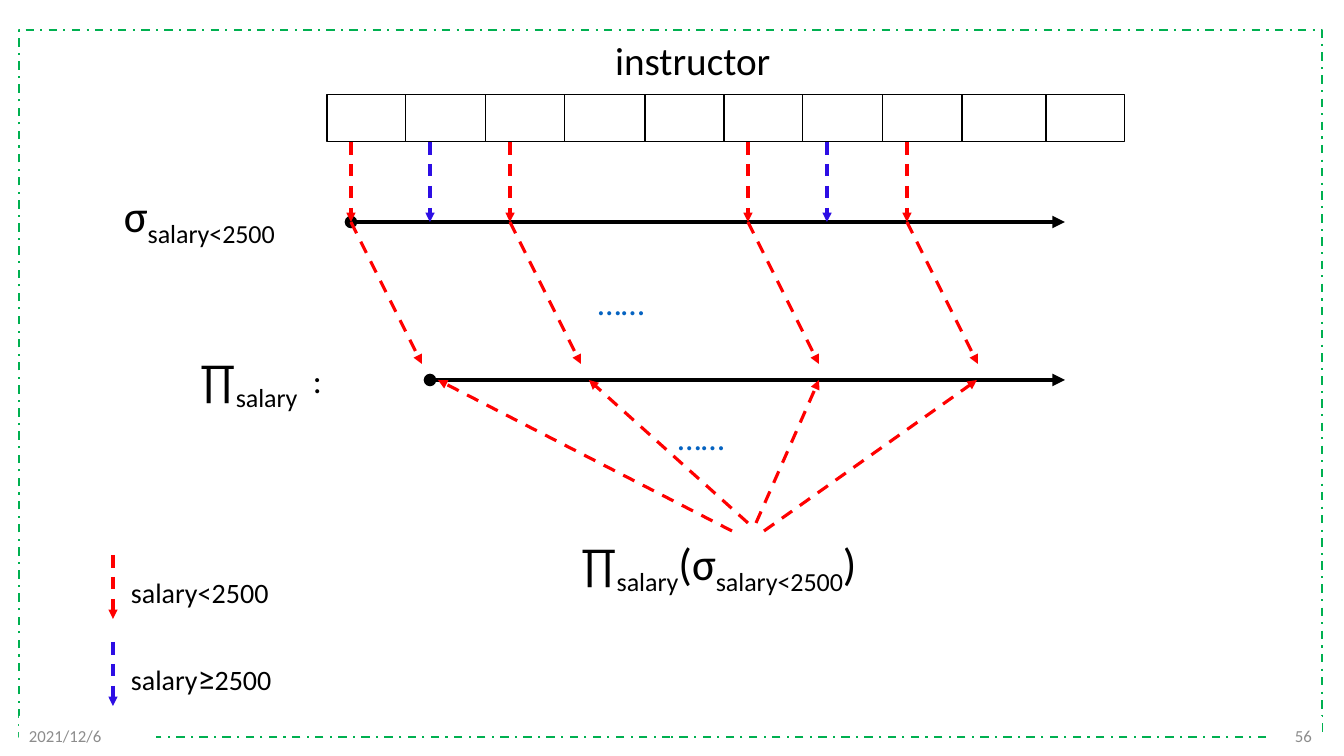
from lxml.etree import SubElement
from pptx import Presentation
from pptx.dml.color import RGBColor
from pptx.enum.dml import MSO_LINE
from pptx.enum.shapes import MSO_CONNECTOR, MSO_SHAPE
from pptx.enum.text import MSO_ANCHOR, PP_ALIGN
from pptx.oxml.ns import qn
from pptx.util import Emu, Pt

PX = 914400 / 100.8
BLACK, WHITE, GREY = "000000", "FFFFFF", "8C8C8C"
RED, VIOLET, GREEN, BLUE = "FF0000", "2D0EE4", "00B050", "0563C1"
STEP = 79.4  # distance between neighbouring records
SUB = -25000


def px(n):
    return Emu(round(n * PX))


def rgb(value):
    return RGBColor.from_string(value)


def write(s, runs, color=BLACK, align=PP_ALIGN.LEFT, anchor=MSO_ANCHOR.TOP, wrap=False):
    """Fill a shape with one paragraph of (text, size, baseline) runs."""
    tf = s.text_frame
    frame = {"word_wrap": wrap, "vertical_anchor": anchor,
             "margin_left": Pt(7.2), "margin_right": Pt(7.2),
             "margin_top": Pt(3.6), "margin_bottom": Pt(3.6)}
    for name, value in frame.items():
        setattr(tf, name, value)
    p = tf.paragraphs[0]
    p.alignment = align
    for text, size, baseline in runs:
        r = p.add_run()
        r.text = text
        for name, value in {"name": "Calibri", "size": Pt(size)}.items():
            setattr(r.font, name, value)
        r.font.color.rgb = rgb(color)
        if baseline:
            r.font._element.set("baseline", str(baseline))


def add_text(s, box, runs, **fmt):
    write(s.shapes.add_textbox(*map(px, box)), runs, **fmt)


def add_box(s, box, fill=None, line=None, width=0.75, dash=None):
    sp = s.shapes.add_shape(MSO_SHAPE.RECTANGLE, *map(px, box))
    sp.shadow.inherit = False
    if fill:
        sp.fill.solid()
        sp.fill.fore_color.rgb = rgb(fill)
    else:
        sp.fill.background()
    if line:
        sp.line.color.rgb = rgb(line)
        sp.line.width = Pt(width)
        sp.line.dash_style = dash
    else:
        sp.line.fill.background()
    return sp


def add_arrow(s, start, end, color=RED, width=2.25, dash=MSO_LINE.DASH, head=None):
    c = s.shapes.add_connector(MSO_CONNECTOR.STRAIGHT, *map(px, (*start, *end)))
    c.line.color.rgb = rgb(color)
    c.line.width = Pt(width)
    c.line.dash_style = dash
    ln = c.line._get_or_add_ln()
    if head:
        SubElement(ln, qn("a:headEnd"), type=head)
    SubElement(ln, qn("a:tailEnd"), type="triangle")
    SubElement(c._element.spPr, qn("a:effectLst"))


def frame(s, x, y, w, h):
    """Dashed border with date and page number on its lower edge."""
    add_box(s, (x, y, w, h), line=GREEN, width=1.5, dash=MSO_LINE.DASH_DOT)
    footers = [("56", x + w - 50, 50, PP_ALIGN.RIGHT),
               ("2021/12/6", x, 137, PP_ALIGN.LEFT)]
    for text, left, width, align in footers:
        sp = add_box(s, (left, y + h - 21, width, 40), fill=WHITE)
        write(sp, [(text, 12, 0)], GREY, align, MSO_ANCHOR.MIDDLE, True)


def relation(s, x, y, h):
    """Title and the row of ten record cells."""
    title = s.shapes.title
    for name, value in zip(("left", "top", "width", "height"), (x + 278, y - 64, 177, 57)):
        setattr(title, name, px(value))
    write(title, [("instructor", 28, 0)])
    edges = [x + round(i * STEP) + (4 if i > 8 else 0) for i in range(11)]
    for left, right in zip(edges, edges[1:]):
        add_box(s, (left, y, right - left, h), line=BLACK)


def pipeline(s, x, y, w):
    """Selection axis, projection axis and the arrows that feed them."""
    select_y, project_y = y + 80, y + 238
    for left, top in ((x, select_y), (x + 79, project_y)):
        add_arrow(s, (left, top), (x + w, top), BLACK, 3, None, "oval")
    # Records read by the selection; matching ones go on to the projection
    for i, match in {0: True, 1: False, 2: True, 5: True, 6: False, 7: True}.items():
        at = x + round(i * STEP)
        add_arrow(s, (at, y), (at, select_y), RED if match else VIOLET)
        if match:
            add_arrow(s, (at, select_y), (at + 71, select_y + 142))
    # Fan from the result up to the projection axis
    for dx, dy, to in ((381, 151, 87), (397, 143, 238), (405, 143, 468), (413, 151, 626)):
        add_arrow(s, (x + dx, project_y + dy), (x + to, project_y))
    for dx, dy, width in ((237, 135, 161), (317, 270, 111)):
        add_text(s, (x + dx, y + dy, width, 50), [("……", 24, 0)], color=BLUE, wrap=True)


def operators(s, x, y):
    """Names of the two operators and of the combined expression."""
    add_text(s, (x, y, 194, 65), [("σ", 32, 0), ("salary<2500", 32, SUB)])
    add_text(s, (x + 76, y + 164, 129, 65), [("∏", 32, 0), ("salary", 32, SUB)])
    add_text(s, (x + 189, y + 172, 29, 50), [(":", 24, 0)])
    add_text(s, (x + 457, y + 348, 358, 65),
             [("∏", 32, 0), ("salary", 32, SUB), ("(σ", 32, 0),
              ("salary<2500", 32, SUB), (")", 32, 0)], wrap=True)


def legend(s, x, y):
    """Meaning of the arrow colours."""
    entries = [(RED, 16, [("salary<2500", 20, 0)]),
               (VIOLET, 10, [("salary", 20, 0), ("≥", 24, 0), ("2500", 20, 0)])]
    for i, (color, drop, runs) in enumerate(entries):
        top = y + 87 * i
        add_arrow(s, (x, top), (x, top + 64), color)
        add_text(s, (x + 8, top + drop, 163, 50), runs)


def main():
    prs = Presentation()
    prs.slide_width, prs.slide_height = px(1344), px(756)
    s = prs.slides.add_slide(prs.slide_layouts[5])
    frame(s, 19, 30, 1303, 707)
    relation(s, 327, 95, 47)
    pipeline(s, 351, 142, 714)
    operators(s, 114, 183)
    legend(s, 113, 555)
    prs.save("out.pptx")


if __name__ == "__main__":
    main()
